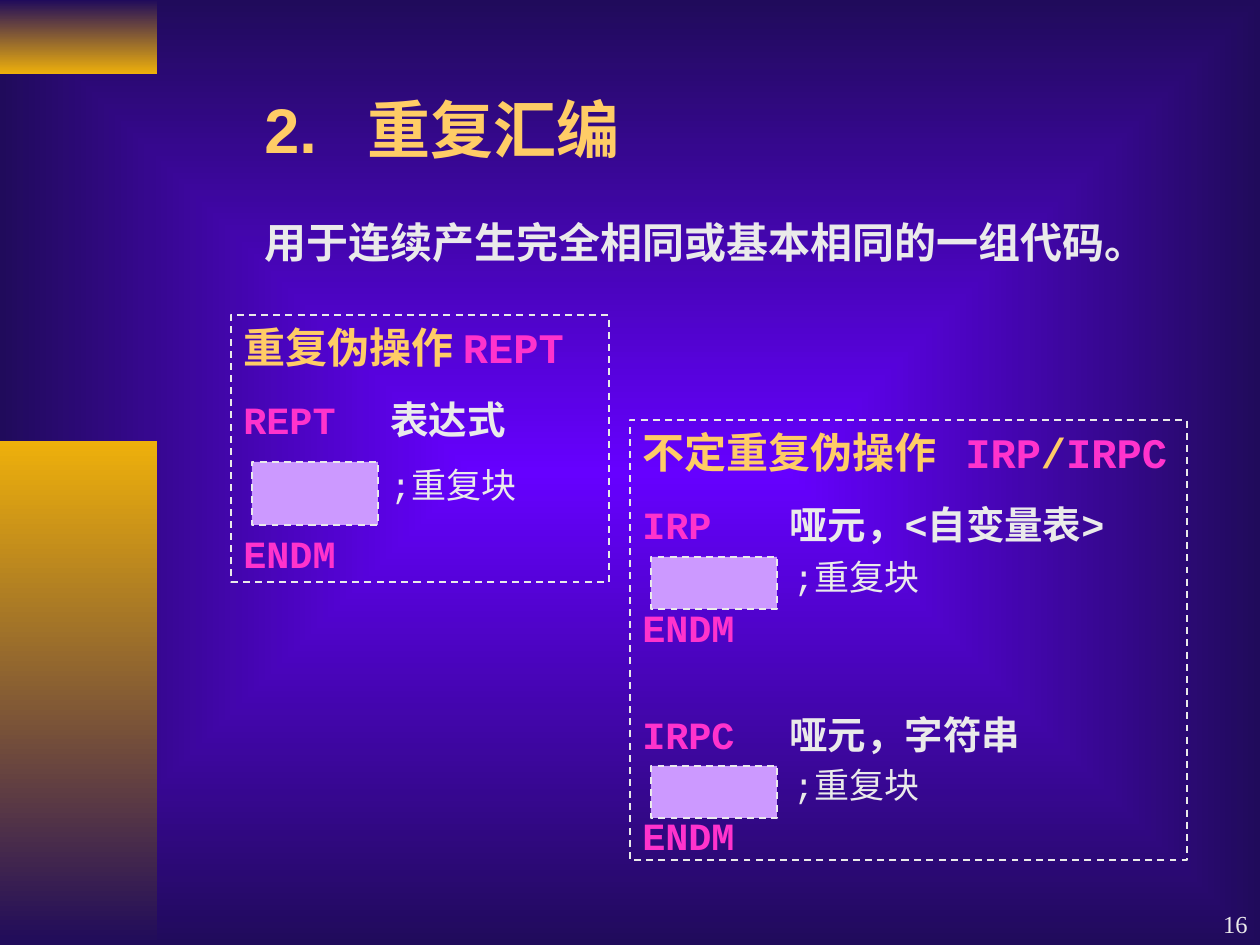
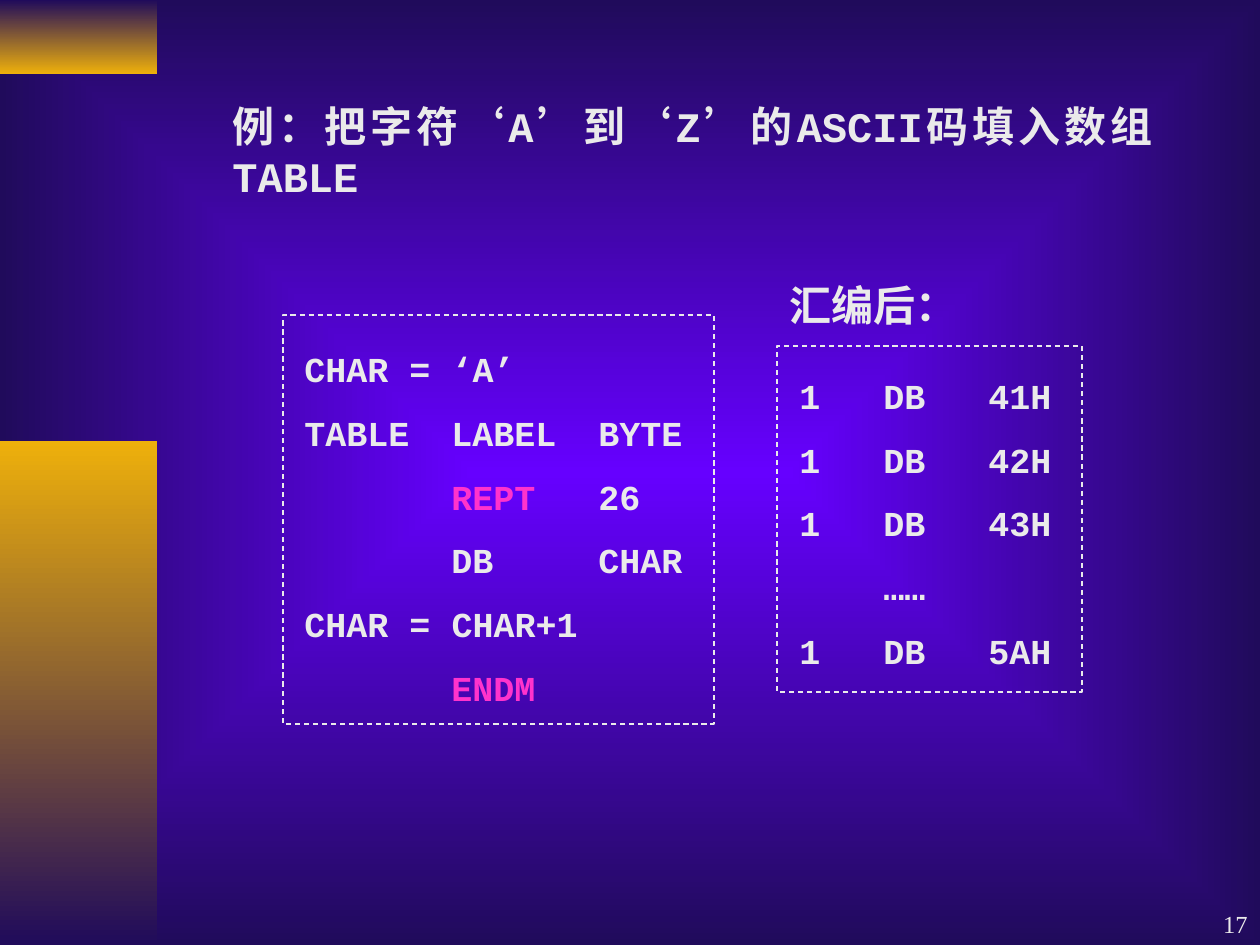
from pptx import Presentation
from pptx import util as u
from pptx.dml.color import RGBColor
from pptx.enum import dml, shapes, text
from pptx.oxml.ns import qn
from lxml import etree

PX = 914400 / 126
W, H = 1260, 945
NAVY, VIOLET, AMBER = "200B5B", "6600FF", "EEB00B"
GOLD, PINK, PALE, LILAC = "FFCC66", "FF33CC", "EAEAEA", "CC99FF"
MONO, SERIF, SANS, CJK = "Courier New", "Times New Roman", "Arial", "Noto Sans Mono"
BLOCK_TAB = 147  # second column of every code listing


def emu(px):
    return u.Emu(round(px * PX))


def rgb(hex_text):
    return RGBColor.from_string(hex_text)


def place(box):
    return [emu(v) for v in box]


def run(words, color=PALE, size=20, font=MONO, bold=True):
    return words, color, size, font, bold


def para(*runs, before=12.5, spacing=None, tabs=(), align=None):
    return runs, before, spacing, tabs, align


def write(sp, paras, anchor=text.MSO_ANCHOR.TOP):
    tf = sp.text_frame
    tf.word_wrap = True
    tf.vertical_anchor = anchor
    for i, (runs, before, spacing, tabs, align) in enumerate(paras):
        p = tf.paragraphs[0] if i == 0 else tf.add_paragraph()
        p.alignment = align or text.PP_ALIGN.LEFT
        p.space_before = u.Pt(before)
        if spacing:
            p.line_spacing = spacing
        if tabs:
            tab_list = etree.SubElement(p._p.get_or_add_pPr(), qn("a:tabLst"))
            for pos in tabs:
                etree.SubElement(tab_list, qn("a:tab"), pos=str(emu(pos)), algn="l")
        for words, color, size, font, bold in runs:
            r = p.add_run()
            r.text = words
            r.font.size, r.font.name, r.font.bold = u.Pt(size), font, bold
            r.font.color.rgb = rgb(color)


def add_text(s, box, *paras, **options):
    write(s.shapes.add_textbox(*place(box)), paras, **options)


def add_rect(s, box):
    sp = s.shapes.add_shape(shapes.MSO_SHAPE.RECTANGLE, *place(box))
    sp.shadow.inherit = False
    return sp


def dashed_rect(s, box, fill=None, width=1):
    sp = add_rect(s, box)
    if fill:
        sp.fill.solid()
        sp.fill.fore_color.rgb = rgb(fill)
    else:
        sp.fill.background()
    sp.line.color.rgb = rgb(PALE)
    sp.line.width = u.Pt(width)
    sp.line.dash_style = dml.MSO_LINE.DASH
    return sp


def gradient(fill, start, end):
    fill.gradient()
    for stop, color in zip(fill.gradient_stops, (start, end)):
        stop.color.rgb = rgb(color)


def set_background(master):
    """Rectangular glow from the centre of every slide."""
    gradient(master.background.fill, VIOLET, NAVY)
    lin = next(master.element.cSld.iter(qn("a:lin")))
    glow = etree.Element(qn("a:path"), path="rect")
    etree.SubElement(glow, qn("a:fillToRect"), l="50000", t="50000", r="50000", b="50000")
    lin.getparent().replace(lin, glow)


def new_slide(prs, number):
    s = prs.slides.add_slide(prs.slide_layouts[6])
    # Side bands
    for box, start, end in (((0, 0, 157, 74), NAVY, AMBER),
                            ((0, 441, 157, 504), AMBER, NAVY)):
        band = add_rect(s, box)
        gradient(band.fill, start, end)
        band.fill.gradient_angle = 270
        band.line.fill.background()
    # Slide number
    add_text(s, (W - 262, H - 63, 262, 63),
             para(run(str(number), size=14, font=SERIF, bold=False),
                  before=0, align=text.PP_ALIGN.RIGHT),
             anchor=text.MSO_ANCHOR.BOTTOM)
    return s


def repeat_block(head, operand, gap=13.8, head_spacing=None, spacing=None,
                 remark_tab=BLOCK_TAB, tab_size=20):
    """Directive line, the repeated block's remark, and ENDM."""
    return [
        para(run(head + "\t", PINK, 22), run(operand, size=22),
             before=gap, spacing=head_spacing, tabs=[BLOCK_TAB]),
        para(run("\t", size=tab_size), run(";重复块", bold=False),
             spacing=spacing, tabs=[remark_tab]),
        para(run("ENDM", PINK, 22), before=13.8, spacing=spacing),
    ]


def syntax_panel(s, box, paras, block_left, block_tops, block_height):
    """Dashed panel of syntax with a lilac block for each repeated body."""
    write(dashed_rect(s, box), paras)
    for top in block_tops:
        dashed_rect(s, (box[0] + block_left, box[1] + top, 126, block_height), LILAC)


def listing(s, box, dx, dy, tabs, lines):
    """Dashed frame around code lines; each line is a list of runs."""
    x, y, w, h = box
    dashed_rect(s, box, width=0.75)
    add_text(s, (x + dx, y + dy, w - dx, h - dy),
             *[para(*line, tabs=tabs) for line in lines])


def repeat_slide(prs):
    s = new_slide(prs, 16)
    # Title and lead sentence
    add_text(s, (252, 84, 655, 88),
             para(run("2.\t重复汇编", GOLD, 36, SANS), before=0, tabs=[103]))
    add_text(s, (252, 210, 935, 63),
             para(run("用于连续产生完全相同或基本相同的一组代码。", size=24, font=SERIF), before=15))
    # Fixed repeat
    syntax_panel(s, (231, 315, 378, 267), [
        para(run("重复伪操作 ", GOLD, 24), run("REPT", PINK, 24), before=15),
        *repeat_block("REPT", "表达式"),
    ], 21, [147], 63)
    # Indefinite repeat, set tighter
    tight = dict(spacing=0.6, remark_tab=151, tab_size=22)
    syntax_panel(s, (630, 420, 557, 440), [
        para(run("不定重复伪操作\t", GOLD, 24, SERIF), run("IRP", PINK, 24),
             run("/", GOLD, 24), run("IRPC", PINK, 24), before=15, tabs=[323]),
        *repeat_block("IRP", "哑元，<自变量表>", **tight),
        *repeat_block("IRPC", "哑元，字符串", gap=45, head_spacing=0.6, **tight),
    ], 21, [137, 346], 52)


def example_slide(prs):
    s = new_slide(prs, 17)
    # Task
    add_text(s, (220, 94, 945, 113),
             para(run("例：", size=24, font=CJK),
                  run("把字符‘A’到‘Z’的ASCII码填入数组TABLE", size=24),
                  before=15, align=text.PP_ALIGN.JUSTIFY))
    # Source code
    listing(s, (283, 315, 431, 409), 9, 26, [BLOCK_TAB, 2 * BLOCK_TAB], [
        [run("CHAR = ‘A’")],
        [run("TABLE\tLABEL\tBYTE")],
        [run("\t"), run("REPT", PINK), run("\t26")],
        [run("\tDB\tCHAR")],
        [run("CHAR = CHAR+1")],
        [run("\t"), run("ENDM", PINK)],
    ])
    # Assembled result
    add_text(s, (777, 273, 199, 63), para(run("汇编后：", size=24, font=CJK), before=15))
    rows = ["1\tDB\t41H", "1\tDB\t42H", "1\tDB\t43H", "\t……", "1\tDB\t5AH"]
    listing(s, (777, 346, 305, 346), 10, 22, [84, 189], [[run(row)] for row in rows])


def main():
    prs = Presentation()
    prs.slide_width, prs.slide_height = emu(W), emu(H)
    set_background(prs.slide_master)
    repeat_slide(prs)
    example_slide(prs)
    prs.save("out.pptx")


if __name__ == "__main__":
    main()
